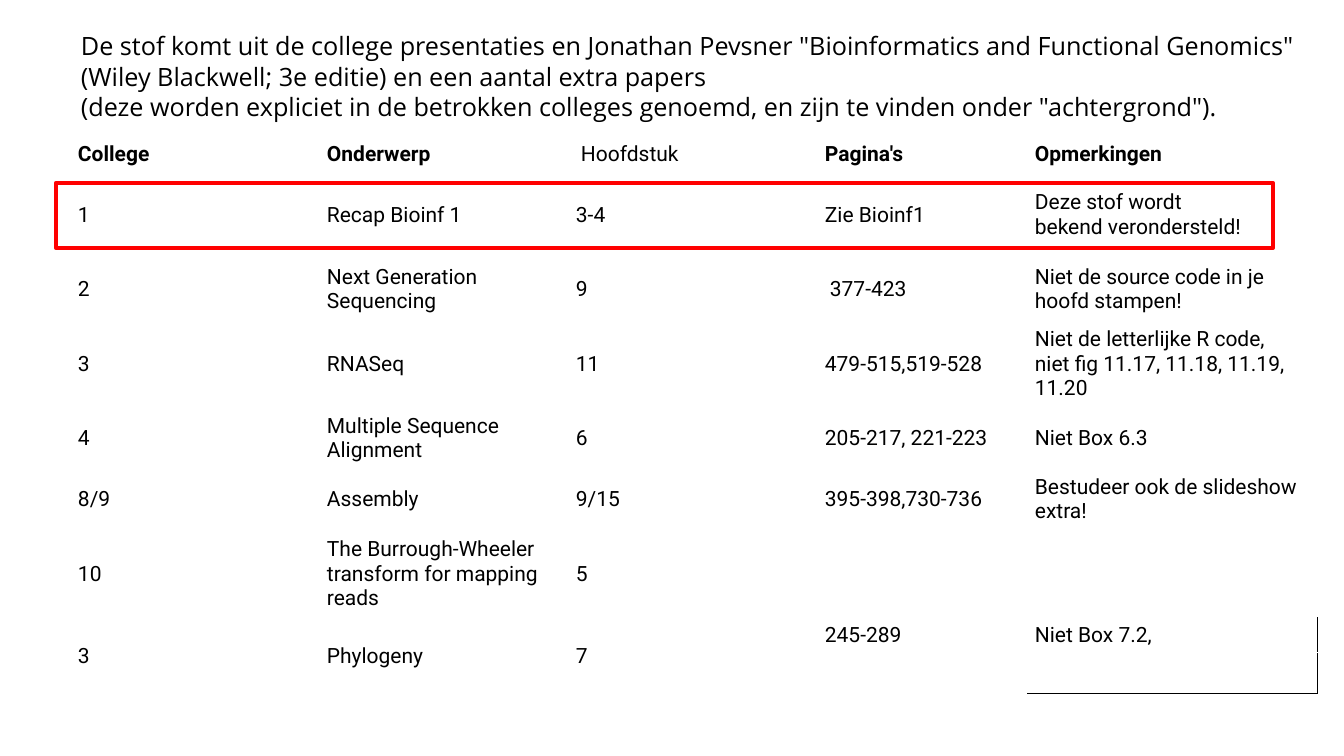
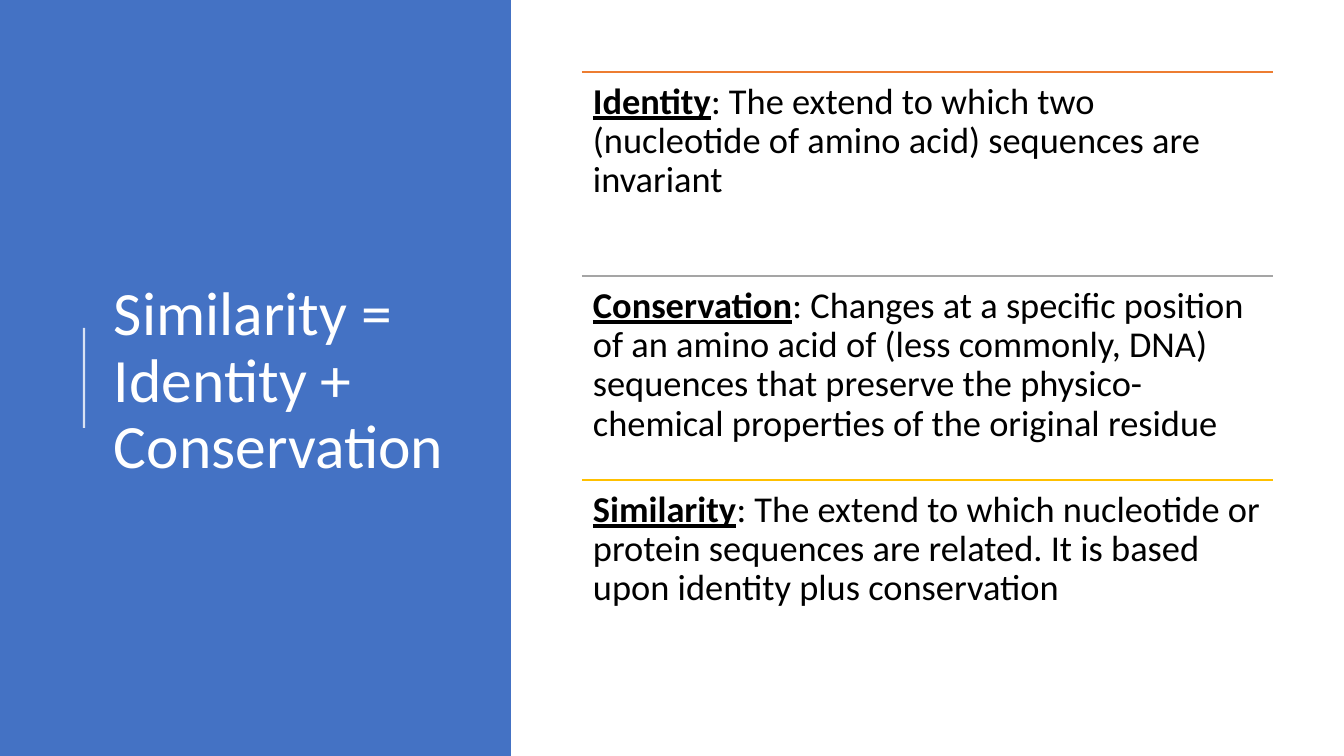
from lxml import etree
from pptx import Presentation
from pptx.dml.color import RGBColor
from pptx.enum.shapes import MSO_CONNECTOR, MSO_SHAPE
from pptx.enum.text import MSO_ANCHOR
from pptx.oxml.ns import qn
from pptx.util import Pt

PX = 12192000 / 1344
STRAIGHT = MSO_CONNECTOR.STRAIGHT
RECTANGLE = MSO_SHAPE.RECTANGLE
TOP, MIDDLE = MSO_ANCHOR.TOP, MSO_ANCHOR.MIDDLE
NBSP = chr(160)
COLORS = {
    "black": "000000",
    "white": "FFFFFF",
    "blue": "4472C4",
    "orange": "ED7D31",
    "gray": "A5A5A5",
    "yellow": "FFC000",
    "red": "FF0000",
}


def px(*lengths):
    return [round(length * PX) for length in lengths]


def rgb(name):
    return RGBColor.from_string(COLORS[name])


def style(paragraph, font_name, size, color="black"):
    font = paragraph.font
    font.name, font.size, font.color.rgb = font_name, Pt(size), rgb(color)


def add_text_frame(page, bounds, anchor, inset_x=10, inset_y=5):
    frame = page.shapes.add_textbox(*px(*bounds)).text_frame
    frame.word_wrap = True
    frame.vertical_anchor = anchor
    frame.margin_left, frame.margin_right = px(inset_x, inset_x)
    frame.margin_top, frame.margin_bottom = px(inset_y, inset_y)
    return frame


def add_line(page, ends, color, weight):
    line = page.shapes.add_connector(STRAIGHT, *px(*ends))
    line.line.color.rgb = rgb(color)
    line.line.width = Pt(weight)
    etree.SubElement(line._element.spPr, qn("a:effectLst"))
    return line


deck = Presentation()
deck.slide_width, deck.slide_height = px(1344, 756)
blank = deck.slide_layouts[6]

# Slide 1: reading list
page = deck.slides.add_slide(blank)
rows = [
    ["College", "Onderwerp", "Hoofdstuk", "Pagina's", "Opmerkingen"],
    ["1", "Recap Bioinf 1", "3-4", "Zie Bioinf1",
     f"Deze stof wordt bekend{NBSP}verondersteld!"],
    ["2", "Next Generation Sequencing", "9", "377-423",
     "Niet de source code in je hoofd stampen!"],
    ["3", "RNASeq", "11", "479-515,519-528",
     f"Niet de letterlijke R code, niet{NBSP}fig 11.17, 11.18, 11.19, 11.20"],
    ["4", "Multiple Sequence Alignment", "6", "205-217, 221-223", "Niet Box 6.3"],
    ["8/9", "Assembly", "9/15", "395-398,730-736",
     "Bestudeer ook de slideshow extra!"],
    ["10", "The Burrough-Wheeler transform for mapping reads", "5", "", ""],
    ["3", "Phylogeny", "7", "245-289", "Niet Box 7.2,"],
    ["", "", "", "", ""],
]
column_widths = [249, 249, 249, 210, 290]
row_heights = [34, 88, 61, 88, 61, 61, 88, 35, 41]
indented = {"Hoofdstuk", "377-423"}

table = page.shapes.add_table(
    len(rows), len(column_widths),
    *px(71, 137, sum(column_widths), sum(row_heights))).table
table.first_row = table.horz_banding = False
for column, width in zip(table.columns, px(*column_widths)):
    column.width = width
for row, height in zip(table.rows, px(*row_heights)):
    row.height = height

for row_index, texts in enumerate(rows):
    for column_index, text in enumerate(texts):
        cell = table.cell(row_index, column_index)
        cell.text = text
        cell.fill.background()
        cell.vertical_anchor = MIDDLE
        cell.margin_left, cell.margin_right = px(12 if text in indented else 7, 7)
        cell.margin_top, cell.margin_bottom = px(3, 3)
        paragraph = cell.text_frame.paragraphs[0]
        style(paragraph, "Roboto", 15)
        paragraph.font.bold = row_index == 0 and text != "Hoofdstuk"

for column_index in range(3):
    table.cell(7, column_index).merge(table.cell(8, column_index))

for row_index, sides in ((7, ["lnR"]), (8, ["lnR", "lnB"])):
    properties = table.cell(row_index, 4)._tc.get_or_add_tcPr()
    for position, side in enumerate(sides):
        border = etree.Element(qn(f"a:{side}"), w=str(Pt(1)))
        fill = etree.SubElement(border, qn("a:solidFill"))
        etree.SubElement(fill, qn("a:srgbClr"), val=COLORS["black"])
        properties.insert(position, border)

intro = add_text_frame(page, (71, 25, 1250, 102), MIDDLE)
intro.text = "\n".join([
    'De stof komt uit de college presentaties en Jonathan Pevsner "Bioinformatics and Functional Genomics"',
    "(Wiley Blackwell; 3e editie) en een aantal extra papers",
    '(deze worden expliciet in de betrokken colleges genoemd, en zijn te vinden onder "achtergrond").',
])
for paragraph in intro.paragraphs:
    style(paragraph, "Open Sans", 18)

highlight = page.shapes.add_shape(RECTANGLE, *px(56, 183, 1217, 65))
highlight.shadow.inherit = False
highlight.fill.background()
highlight.line.color.rgb = rgb("red")
highlight.line.width = Pt(3)

# Slide 2: definitions
page = deck.slides.add_slide(blank)
panel = page.shapes.add_shape(RECTANGLE, *px(0, 0, 511, 756))
panel.shadow.inherit = False
panel.fill.solid()
panel.fill.fore_color.rgb = rgb("blue")
panel.line.fill.background()

title = add_text_frame(page, (104, 79, 372, 607), MIDDLE).paragraphs[0]
title.text = "Similarity = Identity + Conservation"
title.line_spacing = 0.9
style(title, "Calibri", 44, "white")

accent = add_line(page, (84, 428, 84, 328), "white", 1.5)
accent_color = accent._element.spPr.find(".//" + qn("a:srgbClr"))
etree.SubElement(accent_color, qn("a:alpha"), val="80000")

definitions = [
    ("Identity", "orange",
     ": The extend to which two (nucleotide of amino acid) sequences are invariant"),
    ("Conservation", "gray",
     ": Changes at a specific position of an amino acid of (less commonly, DNA) "
     "sequences that preserve the physico-chemical properties of the original residue"),
    ("Similarity", "yellow",
     ": The extend to which nucleotide or protein sequences are related. "
     "It is based upon identity plus conservation"),
]
left, width, step = 582, 691, 204
for index, (term, color, meaning) in enumerate(definitions):
    top = 72 + index * step
    add_line(page, (left, top, left + width, top), color, 1)
    paragraph = add_text_frame(page, (left, top, width, step), TOP, 11, 11).paragraphs[0]
    paragraph.line_spacing = 0.9
    style(paragraph, "Calibri", 26)
    span = paragraph.add_run()
    span.text = term
    span.font.bold = span.font.underline = True
    paragraph.add_run().text = meaning

deck.save("out.pptx")
